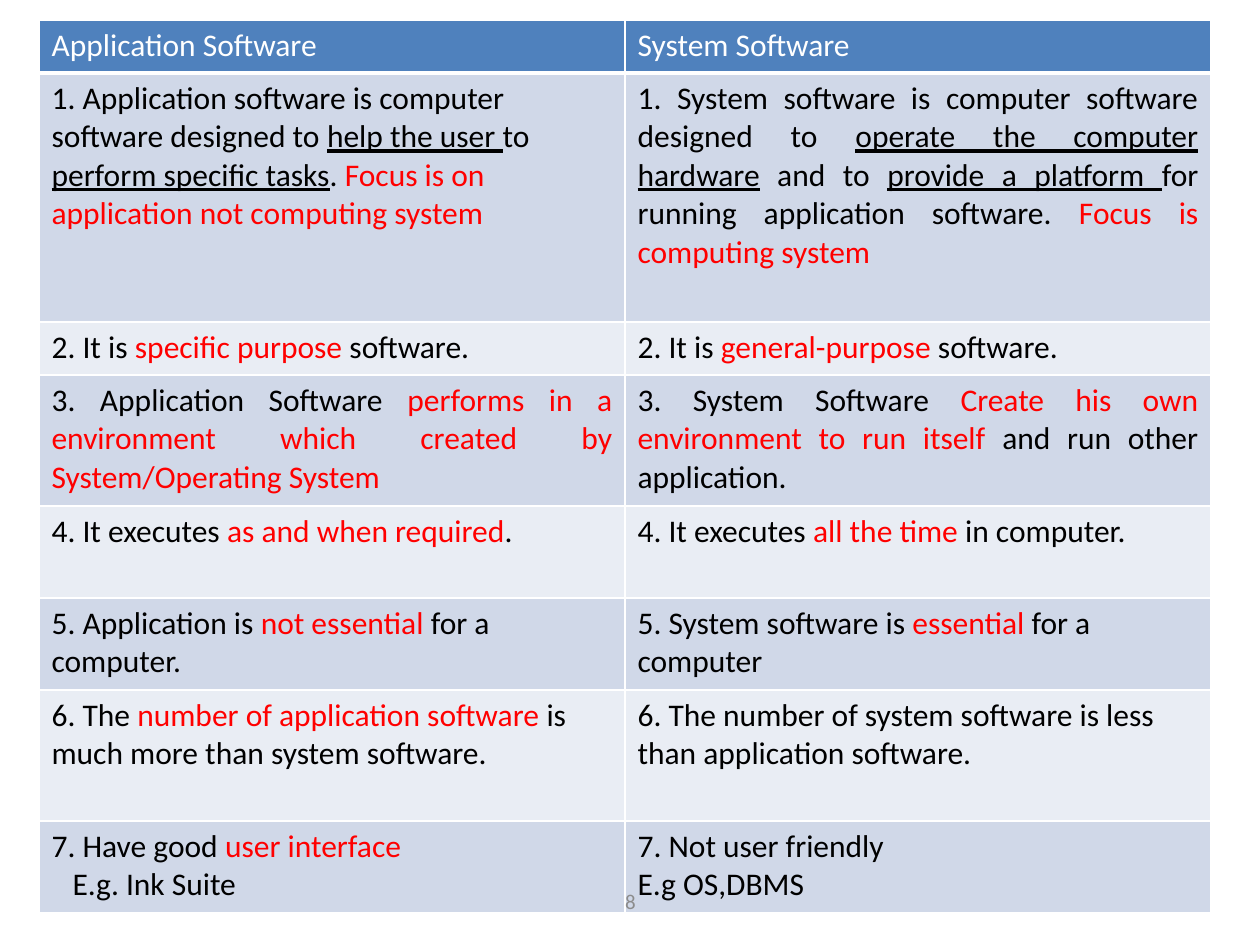
from dataclasses import dataclass

from lxml.etree import SubElement
from pptx import Presentation
from pptx.dml.color import RGBColor
from pptx.enum.text import MSO_ANCHOR, PP_ALIGN
from pptx.oxml.ns import qn
from pptx.util import Pt


@dataclass(frozen=True)
class Theme:
    font: str = "Calibri"
    table_size: int = 18
    number_size: int = 12
    header: str = "4F81BD"
    bands: tuple = ("D0D8E8", "E9EDF4")
    white: str = "FFFFFF"
    ink: str = "000000"
    accent: str = "FF0000"
    muted: str = "8C8C8C"


theme = Theme()
SCALE = 914400 / 126


def px(length):
    return round(length * SCALE)


def write_text(frame, text, size=theme.table_size, color=theme.ink,
               align=PP_ALIGN.LEFT, last_indent=0):
    lines = text.split("\n")
    for number, line in enumerate(lines):
        para = frame.add_paragraph() if number else frame.paragraphs[0]
        para.alignment = align
        if last_indent and number == len(lines) - 1:
            para._p.get_or_add_pPr().set("marL", str(px(last_indent)))
        for red, part in enumerate(line.split("*")):
            for underlined, words in enumerate(part.split("_")):
                if not words:
                    continue
                span = para.add_run()
                span.text = words
                span.font.name = theme.font
                span.font.size = Pt(size)
                span.font.bold = False
                span.font.underline = underlined % 2 == 1
                span.font.color.rgb = RGBColor.from_string(
                    theme.accent if red % 2 else color)


rows = [
    (53, "Application Software", "System Software"),
    (249,
     "1. Application software is computer software designed to _help the user _to "
     "_perform specific tasks_. *Focus is on application not computing system*",
     "1. System software is computer software designed to _operate the computer "
     "hardware_ and to _provide a platform _for running application software. "
     "*Focus is computing system*"),
    (53, "2. It is *specific purpose *software.", "2. It is *general-purpose* software."),
    (131,
     "3. Application Software *performs in a environment which created by "
     "System/Operating System*",
     "3. System Software *Create his own environment to run itself* and run other "
     "application."),
    (92, "4. It executes *as and when required*.",
     "4. It executes *all the time *in computer."),
    (92, "5. Application is *not essential* for a computer.",
     "5. System software is *essential* for a computer"),
    (131, "6. The *number of application software *is much more than system software.",
     "6. The number of system software is less than application software."),
    (92, "7. Have good *user interface*\nE.g. Ink Suite",
     "7. Not user friendly\nE.g OS,DBMS"),
]
justified = {(1, 1), (3, 0), (3, 1)}
indents = {(7, 0): 21}

deck = Presentation()
deck.slide_width = px(1260)
deck.slide_height = px(945)
page = deck.slides.add_slide(deck.slide_layouts[6])

height = sum(row[0] for row in rows)
table = page.shapes.add_table(
    len(rows), 2, px(39), px(20), px(1172), px(height)).table
for column in table.columns:
    column.width = px(586)

for row_index, (row_height, *texts) in enumerate(rows):
    table.rows[row_index].height = px(row_height)
    is_header = row_index == 0
    fill = theme.header if is_header else theme.bands[(row_index - 1) % 2]
    for column_index, text in enumerate(texts):
        place = (row_index, column_index)
        cell = table.cell(*place)
        properties = cell._tc.get_or_add_tcPr()
        for side in ("L", "R", "T", "B"):
            width = 3 if is_header and side == "B" else 1
            border = SubElement(properties, qn(f"a:ln{side}"), w=str(Pt(width)))
            paint = SubElement(border, qn("a:solidFill"))
            SubElement(paint, qn("a:srgbClr"), val=theme.white)
        cell.fill.solid()
        cell.fill.fore_color.rgb = RGBColor.from_string(fill)
        write_text(cell.text_frame, text,
                   color=theme.white if is_header else theme.ink,
                   align=PP_ALIGN.JUSTIFY if place in justified else PP_ALIGN.LEFT,
                   last_indent=indents.get(place, 0))

box = page.shapes.add_textbox(px(431), px(876), px(399), px(50))
box.text_frame.word_wrap = True
box.text_frame.vertical_anchor = MSO_ANCHOR.MIDDLE
write_text(box.text_frame, "8", size=theme.number_size, color=theme.muted,
           align=PP_ALIGN.CENTER)

deck.save("out.pptx")
